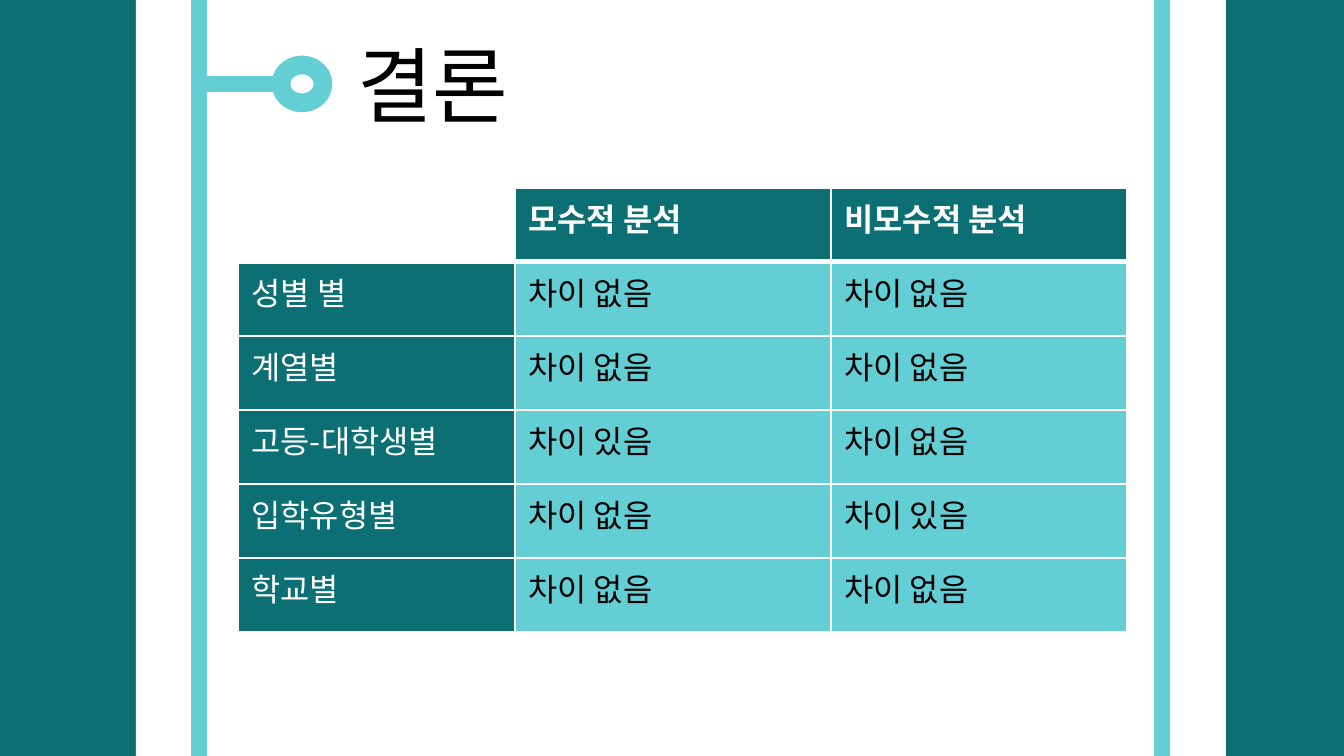
import pptx
import pptx.dml.color
import pptx.enum.shapes
import pptx.enum.text
import pptx.oxml.ns
import pptx.util
from lxml import etree

PX = 914400 / 134.4  # EMU in one px
FONT = "Noto Sans CJK KR"
TEAL = pptx.dml.color.RGBColor(0x0C, 0x6F, 0x73)
AQUA = pptx.dml.color.RGBColor(0x63, 0xCF, 0xD4)
WHITE = pptx.dml.color.RGBColor(0xFF, 0xFF, 0xFF)
BLACK = pptx.dml.color.RGBColor(0, 0, 0)

SHAPE = pptx.enum.shapes.MSO_SHAPE
COLUMNS = (277, 316, 296)
ROW_HEIGHT = 74
ROWS = (
    ("", "모수적 분석", "비모수적 분석"),
    ("성별 별", "차이 없음", "차이 없음"),
    ("계열별", "차이 없음", "차이 없음"),
    ("고등-대학생별", "차이 있음", "차이 없음"),
    ("입학유형별", "차이 없음", "차이 있음"),
    ("학교별", "차이 없음", "차이 없음"),
)


def px(*lengths):
    return [pptx.util.Emu(round(length * PX)) for length in lengths]


def add_child(parent, tag, **attributes):
    return etree.SubElement(parent, pptx.oxml.ns.qn(tag), attributes)


def write(text_frame, text, size, color, bold=False):
    text_frame.text = text
    for span in text_frame.paragraphs[0].runs:
        span.font.size = pptx.util.Pt(size)
        span.font.name = FONT
        span.font.bold = bold
        span.font.color.rgb = color
        add_child(span.font._element, "a:ea", typeface=FONT)


def set_line(line, color, width):
    line.color.rgb = color
    line.width = pptx.util.Pt(width)


def add_shape(page, kind, bounds, fill=None, line_width=None):
    shape = page.shapes.add_shape(kind, *px(*bounds))
    shape.shadow.inherit = False
    if fill is None:
        shape.fill.background()
    else:
        shape.fill.solid()
        shape.fill.fore_color.rgb = fill
    if line_width is None:
        shape.line.fill.background()
    else:
        set_line(shape.line, AQUA, line_width)


def add_line(page, start, end, width):
    line = page.shapes.add_connector(
        pptx.enum.shapes.MSO_CONNECTOR.STRAIGHT, *px(*start, *end))
    set_line(line.line, AQUA, width)
    add_child(line._element.spPr, "a:effectLst")


def add_title(page, text, bounds):
    box = page.shapes.add_textbox(*px(*bounds))
    box.text_frame.word_wrap = True
    box.text_frame.auto_size = pptx.enum.text.MSO_AUTO_SIZE.SHAPE_TO_FIT_TEXT
    write(box.text_frame, text, 44, BLACK)


def set_borders(cell, bottom=1, top=1):
    properties = cell._tc.get_or_add_tcPr()
    widths = (("a:lnL", 1), ("a:lnR", 1), ("a:lnT", top), ("a:lnB", bottom))
    for index, (tag, width) in enumerate(widths):
        line = etree.Element(pptx.oxml.ns.qn(tag), w=str(pptx.util.Pt(width)))
        add_child(add_child(line, "a:solidFill"), "a:srgbClr", val=str(WHITE))
        properties.insert(index, line)  # borders come before the fill


def add_results(page, left, top):
    frame = page.shapes.add_table(
        len(ROWS), len(COLUMNS),
        *px(left, top, sum(COLUMNS), ROW_HEIGHT * len(ROWS)))
    table = frame.table
    for column, width in zip(table.columns, COLUMNS):
        column.width, = px(width)
    for r, texts in enumerate(ROWS):
        table.rows[r].height, = px(ROW_HEIGHT)
        for c, text in enumerate(texts):
            cell = table.cell(r, c)
            is_result = r > 0 and c > 0
            cell.fill.solid()
            cell.fill.fore_color.rgb = (
                AQUA if is_result else TEAL if text else WHITE)
            write(cell.text_frame, text, 17,
                  BLACK if is_result else WHITE, bold=r == 0)
            # The header is set off by a thicker rule
            set_borders(cell, bottom=3 if r == 0 else 1,
                        top=3 if r == 1 else 1)


def main():
    deck = pptx.Presentation()
    deck.slide_width, deck.slide_height = px(1344, 756)
    page = deck.slides.add_slide(deck.slide_layouts[6])
    page.background.fill.solid()
    page.background.fill.fore_color.rgb = TEAL

    # Clipboard panel and its frame, running past the slide edges
    add_shape(page, SHAPE.SNIP_2_SAME_RECTANGLE, (136, -249, 1090, 1058),
              fill=WHITE)
    add_shape(page, SHAPE.SNIP_2_SAME_RECTANGLE, (199, -194, 963, 1081),
              line_width=8.5)

    # Ring marker beside the title
    add_line(page, (196, 84), (273, 84), 8.5)
    add_shape(page, SHAPE.OVAL, (281, 65, 42, 38), line_width=10)
    add_title(page, "결론", (344, 28, 710, 113))

    # Conclusions
    add_results(page, 238, 188)

    deck.save("out.pptx")


if __name__ == "__main__":
    main()
